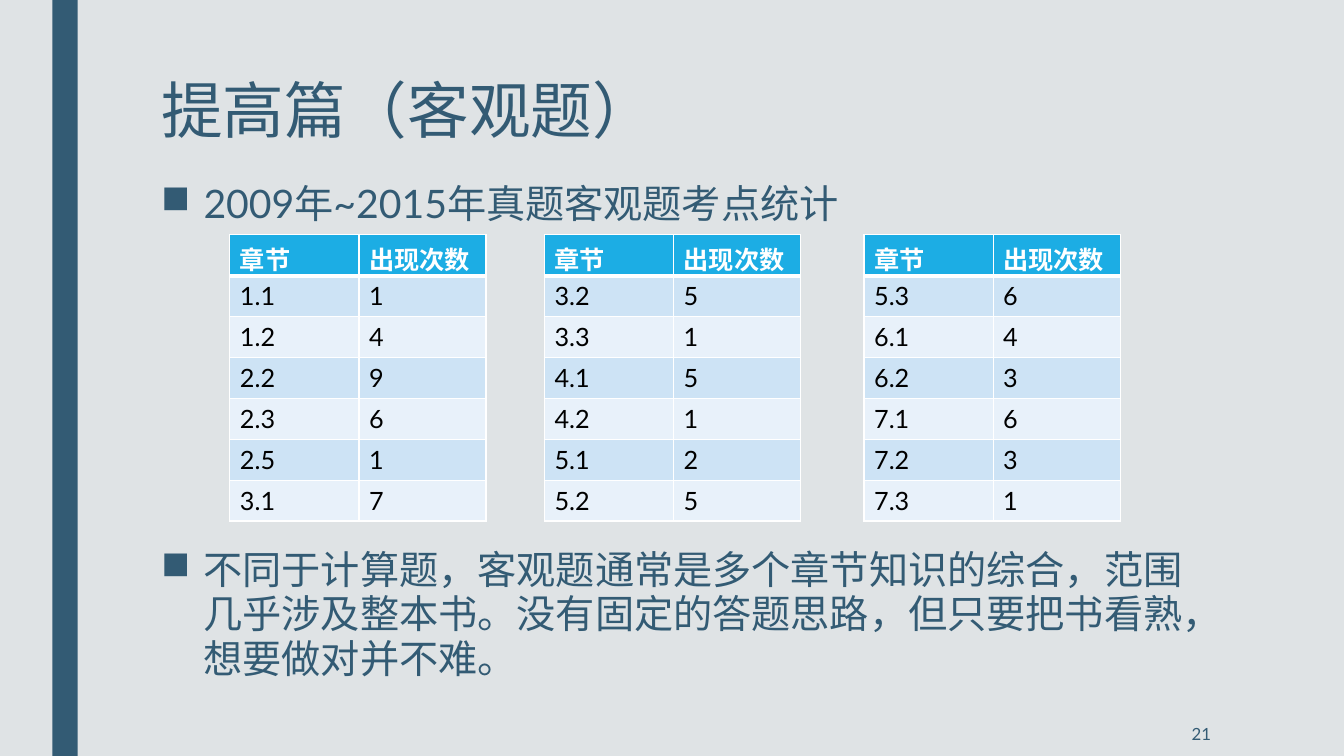
import pptx
import pptx.dml.color
import pptx.enum.shapes
import pptx.enum.text
import pptx.oxml
import pptx.oxml.ns
import pptx.util
from pptx.dml.color import RGBColor
from pptx.util import Inches, Pt

TITLE = "提高篇（客观题）"
BULLETS = [
    # text, top, height
    ("2009年~2015年真题客观题考点统计", 1.77, 0.55),
    ("不同于计算题，客观题通常是多个章节知识的综合，范围几乎涉及整本书。"
     "没有固定的答题思路，但只要把书看熟，想要做对并不难。", 5.4, 1.5),
]
HEADER = ("章节", "出现次数")
CHAPTER_COUNTS = [
    # table left, (chapter, count) rows
    (2.28, [("1.1", 1), ("1.2", 4), ("2.2", 9), ("2.3", 6), ("2.5", 1), ("3.1", 7)]),
    (5.4, [("3.2", 5), ("3.3", 1), ("4.1", 5), ("4.2", 1), ("5.1", 2), ("5.2", 5)]),
    (8.57, [("5.3", 6), ("6.1", 4), ("6.2", 3), ("7.1", 6), ("7.2", 3), ("7.3", 1)]),
]
PAGE_NUMBER = "21"

FONT = "Lato"
BACKGROUND = RGBColor(0xDF, 0xE3, 0xE5)
NAVY = RGBColor(0x33, 0x5B, 0x74)
HEADER_BLUE = RGBColor(0x1C, 0xAD, 0xE4)
BANDS = (RGBColor(0xCD, 0xE3, 0xF5), RGBColor(0xE8, 0xF1, 0xFA))
WHITE = RGBColor(0xFF, 0xFF, 0xFF)
BLACK = RGBColor(0, 0, 0)

TABLE_TOP, TABLE_HEIGHT = 2.33, 2.84
COLUMN_WIDTHS = (1.28, 1.26)
BULLET_INDENT = Inches(0.42)


def format_runs(paragraph, size, color, bold=False):
    for run in paragraph.runs:
        run.font.name = FONT
        run.font.size = Pt(size)
        run.font.color.rgb = color
        run.font.bold = bold


def add_text(slide, text, left, top, width, height, size):
    box = slide.shapes.add_textbox(Inches(left), Inches(top), Inches(width), Inches(height))
    box.text_frame.word_wrap = True
    box.text_frame.text = text
    paragraph = box.text_frame.paragraphs[0]
    format_runs(paragraph, size, NAVY)
    return box.text_frame, paragraph


def add_bullet(paragraph):
    properties = paragraph._p.get_or_add_pPr()
    properties.set("marL", str(BULLET_INDENT))
    properties.set("indent", str(-BULLET_INDENT))
    bullet = pptx.oxml.parse_xml(f'<a:buChar {pptx.oxml.ns.nsdecls("a")} char="■"/>')
    properties.append(bullet)
    paragraph.line_spacing = 0.94


def set_borders(cell, bottom_width):
    properties = cell._tc.get_or_add_tcPr()
    widths = {"lnL": 1, "lnR": 1, "lnT": 1, "lnB": bottom_width}
    for position, (side, width) in enumerate(widths.items()):
        border = pptx.oxml.parse_xml(
            f'<a:{side} {pptx.oxml.ns.nsdecls("a")} w="{Pt(width)}">'
            f'<a:solidFill><a:srgbClr val="{WHITE}"/></a:solidFill></a:{side}>')
        properties.insert(position, border)


def add_count_table(slide, left, counts):
    rows = [HEADER, *counts]
    frame = slide.shapes.add_table(
        len(rows), len(HEADER), Inches(left), Inches(TABLE_TOP),
        Inches(sum(COLUMN_WIDTHS)), Inches(TABLE_HEIGHT))
    table = frame.table
    for column, width in zip(table.columns, COLUMN_WIDTHS):
        column.width = Inches(width)
    for row_index, values in enumerate(rows):
        is_header = row_index == 0
        # The rule under the header is the top edge of the first data row too.
        for column_index, value in enumerate(values):
            cell = table.cell(row_index, column_index)
            cell.text_frame.text = str(value)
            format_runs(cell.text_frame.paragraphs[0], 18,
                        WHITE if is_header else BLACK, is_header)
            cell.fill.solid()
            cell.fill.fore_color.rgb = HEADER_BLUE if is_header else BANDS[(row_index - 1) % 2]
            set_borders(cell, 3 if is_header else 1)


def main():
    presentation = pptx.Presentation()
    presentation.slide_width = Inches(13.33)
    presentation.slide_height = Inches(7.5)
    slide = presentation.slides.add_slide(presentation.slide_layouts[6])
    slide.background.fill.solid()
    slide.background.fill.fore_color.rgb = BACKGROUND

    side_bar = slide.shapes.add_shape(
        pptx.enum.shapes.MSO_SHAPE.RECTANGLE, Inches(0.52), 0, Inches(0.25), Inches(7.5))
    side_bar.shadow.inherit = False
    side_bar.fill.solid()
    side_bar.fill.fore_color.rgb = NAVY
    side_bar.line.fill.background()

    _, title = add_text(slide, TITLE, 1.5, 0.75, 10.5, 1, 44)
    title.line_spacing = 0.89
    for text, top, height in BULLETS:
        _, paragraph = add_text(slide, text, 1.5, top, 10.71, height, 28)
        add_bullet(paragraph)
    for left, counts in CHAPTER_COUNTS:
        add_count_table(slide, left, counts)

    frame, number = add_text(slide, PAGE_NUMBER, 10.36, 7.06, 1.75, 0.44, 12)
    frame.vertical_anchor = pptx.enum.text.MSO_ANCHOR.MIDDLE
    number.alignment = pptx.enum.text.PP_ALIGN.RIGHT

    presentation.save("out.pptx")


if __name__ == "__main__":
    main()
